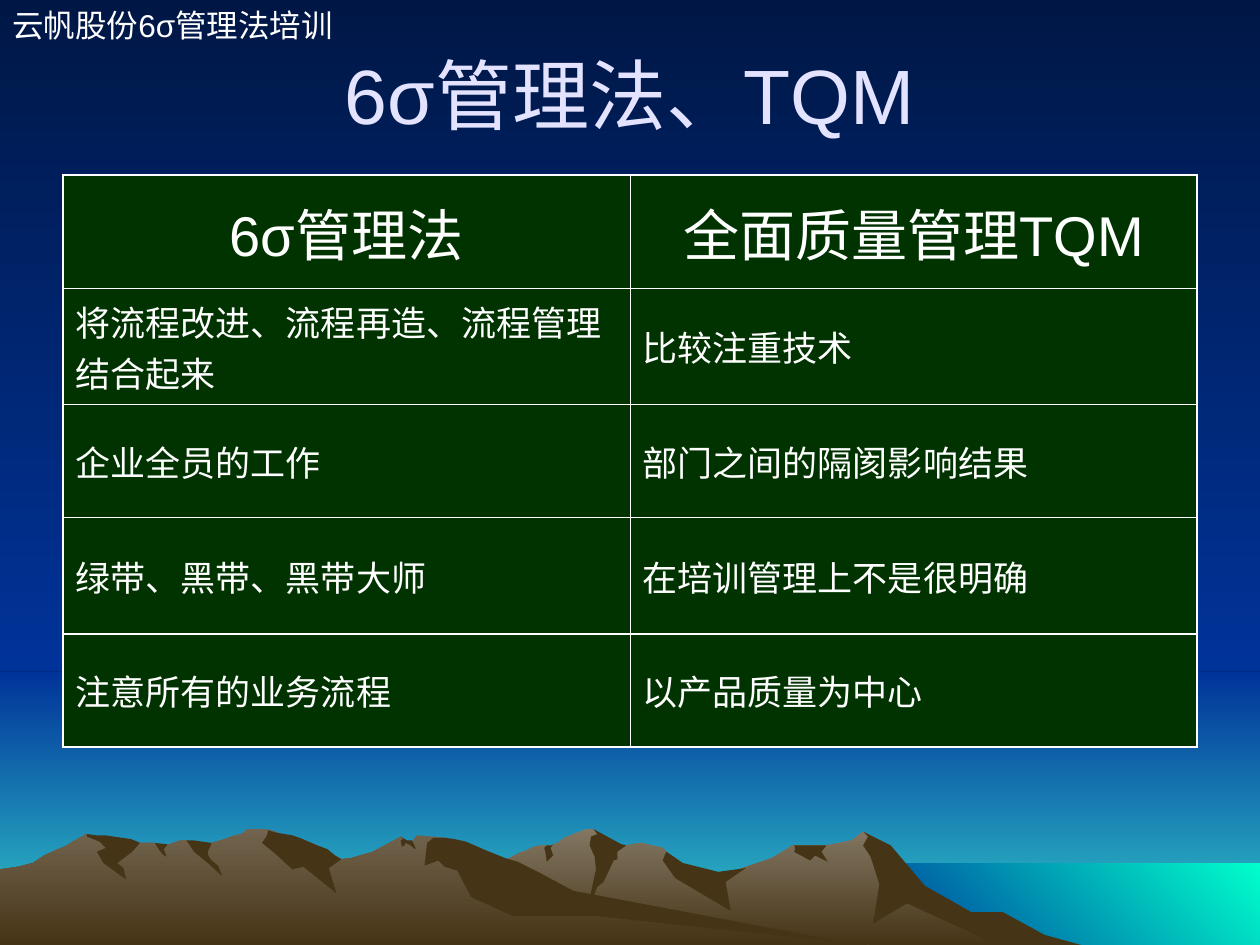
from pptx import Presentation
from pptx.dml.color import RGBColor
from pptx.enum.shapes import MSO_SHAPE as Preset
from pptx.enum.text import MSO_ANCHOR as Anchor, PP_ALIGN as Align
from pptx.oxml import parse_xml
from pptx.oxml.ns import nsdecls
from pptx.util import Inches, Pt

FONT = "Arial"
WHITE = "FFFFFF"
LILAC = "E3E3FF"
NIGHT, BLUE, HORIZON = "001746", "003399", "33CCCC"
AQUA = "00FFCC"
GREEN = "003300"
BROWN = "463416"
THICK, THIN = Pt(1.08), Pt(0.45)

ROWS = [
    ("6σ管理法", "全面质量管理TQM"),
    ("将流程改进、流程再造、流程管理结合起来", "比较注重技术"),
    ("企业全员的工作", "部门之间的隔阂影响结果"),
    ("绿带、黑带、黑带大师", "在培训管理上不是很明确"),
    ("注意所有的业务流程", "以产品质量为中心"),
]

RIGHT_RANGE = """802,82 778,69 764,65 723,40 702,13 685,2 676,9 656,13 629,13 613,23
    566,39 536,32 529,18 526,15 509,11 497,13 486,15 474,3 471,0 465,0 450,6
    448,7 444,10 438,13 430,13 424,14 418,17 412,19 405,23 399,25 394,27
    355,40 327,51 277,81 258,92 821,92"""
RIGHT_SHADES = [
    "796,66 771,66 734,45 707,13 685,2 689,6 685,13 691,22 698,44 693,75 720,59 792,92 858,92 829,84",
    "471,0 474,4 469,6 468,13 472,22 473,32 465,69 474,46 479,42 487,25 490,24 490,18 497,13 493,12",
    "529,18 528,20 526,25 536,39 580,65 576,42 592,31 570,34 542,27",
    "650,13 630,13 631,14 631,17 630,18 643,25 647,21 657,26 652,18 656,13",
    "433,19 432,15 434,13 438,13 439,12 437,15 439,21 434,26",
]
LEFT_RANGE = """690,92 667,90 432,54 354,7 331,5 327,10 323,10 318,6 296,18 279,23
    271,24 260,18 236,23 223,5 222,4 219,2 215,1 212,0 196,0 194,2 191,4
    186,5 178,8 168,11 160,13 148,9 143,9 132,13 128,13 123,11 111,11 94,13
    68,4 56,11 53,13 46,16 35,21 26,27 14,30 0,32 0,92"""
LEFT_SHADES = [
    """212,5 208,11 219,20 232,32 241,30 267,51 261,31 271,24 266,21 260,16
    252,13 245,10 238,7 232,5 226,4 220,3 213,1""",
    """370,10 361,8 354,7 344,7 339,11 337,29 348,25 353,30 363,33 374,54
    407,69 472,69 690,92 683,92 455,49 427,34 411,26 401,23 386,17""",
    """318,9 320,8 318,6 323,9 327,9 329,13 330,16 328,15 326,13 322,11
    321,13 319,14""",
    "154,9 161,10 168,11 165,18 165,20 167,24 173,29 176,36 176,37 165,27 154,18 148,9",
    "133,12 130,16 132,21 132,22 129,20 126,16 123,11",
    """109,10 111,11 105,18 93,27 98,31 100,40 82,27 77,18 84,15 79,10 69,6
    69,4 77,5 84,5 90,6 104,8""",
]


def rgb(value):
    return RGBColor.from_string(value)


def blend(fill, start, end, angle=270):
    fill.gradient()
    fill.gradient_angle = angle
    for stop, color in zip(fill.gradient_stops, (start, end)):
        stop.color.rgb = rgb(color)


def paint(shape, *colors, angle=270):
    shape.shadow.inherit = False
    shape.line.fill.background()
    if len(colors) == 2:
        blend(shape.fill, *colors, angle=angle)
    else:
        shape.fill.solid()
        shape.fill.fore_color.rgb = rgb(colors[0])


def add_band(page, box, start, end, angle=270):
    band = page.shapes.add_shape(Preset.RECTANGLE, *box)
    paint(band, start, end, angle=angle)


def add_range(page, left, top, outline, shades, peak_color):
    for index, text in enumerate([outline, *shades]):
        points = [tuple(map(int, pair.split(","))) for pair in text.split()]
        builder = page.shapes.build_freeform(*points[0], scale=Inches(0.01))
        builder.add_line_segments(points[1:], close=True)
        shape = builder.convert_to_shape(left, top)
        paint(shape, *([BROWN] if index else [peak_color, BROWN]))


def add_scenery(page):
    blend(page.background.fill, NIGHT, BLUE)
    width, shore = Inches(10), Inches(5.33)
    add_band(page, (0, shore, width, Inches(2.17)), BLUE, HORIZON)
    add_band(page, (0, 0, width, shore), NIGHT, BLUE)
    sea = [Inches(v) for v in (6.83, 6.85, 3.17, 0.65)]
    add_band(page, sea, AQUA, BLUE, angle=225)
    ridge = Inches(6.58)
    add_range(page, 0, ridge, RIGHT_RANGE, RIGHT_SHADES, "837763")
    add_range(page, 0, ridge, LEFT_RANGE, LEFT_SHADES, "72644E")


def style_text(frame, text, size, color, align, before=0):
    frame.word_wrap = True
    para = frame.paragraphs[0]
    para.text = text
    para.alignment = align
    para.space_before = Pt(before)
    para.font.name = FONT
    para.font.size = Pt(size)
    para.font.color.rgb = rgb(color)


def add_label(page, box, text, size, color, align, anchor):
    frame = page.shapes.add_textbox(*box).text_frame
    frame.vertical_anchor = anchor
    style_text(frame, text, size, color, align)


def set_borders(cell, widths):
    properties = cell._tc.get_or_add_tcPr()
    for index, (side, width) in enumerate(zip("LRTB", widths)):
        properties.insert(index, parse_xml(
            f'<a:ln{side} {nsdecls("a")} w="{width}"><a:solidFill>'
            f'<a:srgbClr val="{WHITE}"/></a:solidFill></a:ln{side}>'))


def add_comparison(page, box):
    table = page.shapes.add_table(len(ROWS), 2, *box).table
    table.first_row = table.horz_banding = False
    thick_edges = {0, len(ROWS) - 1, len(ROWS)}
    for r, texts in enumerate(ROWS):
        table.rows[r].height = Inches(0.92 if r % 2 else 0.9)
        above, below = (THICK if edge in thick_edges else THIN for edge in (r, r + 1))
        for c, text in enumerate(texts):
            cell = table.cell(r, c)
            cell.vertical_anchor = Anchor.MIDDLE
            cell.fill.solid()
            cell.fill.fore_color.rgb = rgb(GREEN)
            size, align, before = (20, Align.LEFT, 5) if r else (32, Align.CENTER, 8)
            style_text(cell.text_frame, text, size, WHITE, align, before)
            sides = (THIN, THICK) if c else (THICK, THIN)
            set_borders(cell, (*sides, above, below))


def main():
    deck = Presentation()
    deck.slide_width, deck.slide_height = Inches(10), Inches(7.5)
    page = deck.slides.add_slide(deck.slide_layouts[6])
    add_scenery(page)
    add_label(page, (0, 0, Inches(2.95), Inches(0.4)), "云帆股份6σ管理法培训",
              18, WHITE, Align.LEFT, Anchor.TOP)
    add_label(page, (Inches(0.5), Inches(0.25), Inches(9), Inches(0.98)),
              "6σ管理法、TQM", 44, LILAC, Align.CENTER, Anchor.MIDDLE)
    add_comparison(page, (Inches(0.5), Inches(1.39), Inches(9), Inches(4.54)))
    deck.save("out.pptx")


if __name__ == "__main__":
    main()
